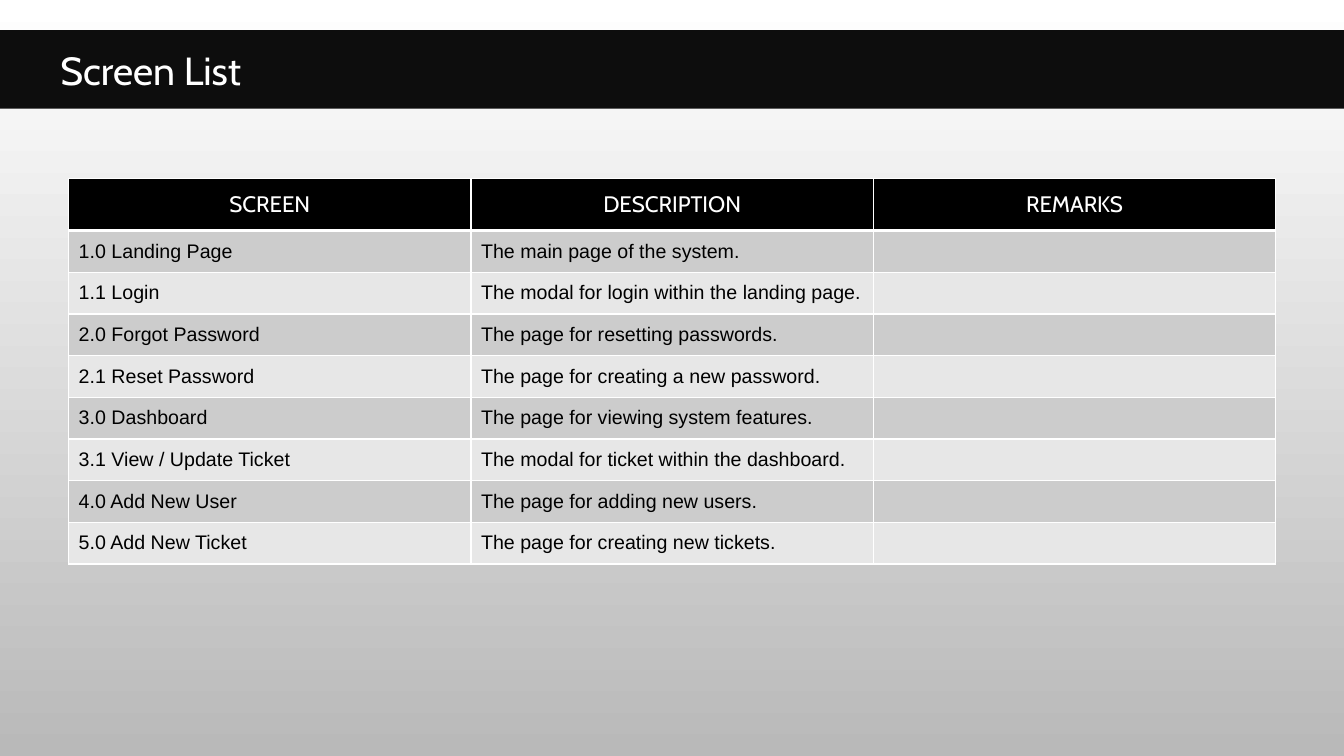
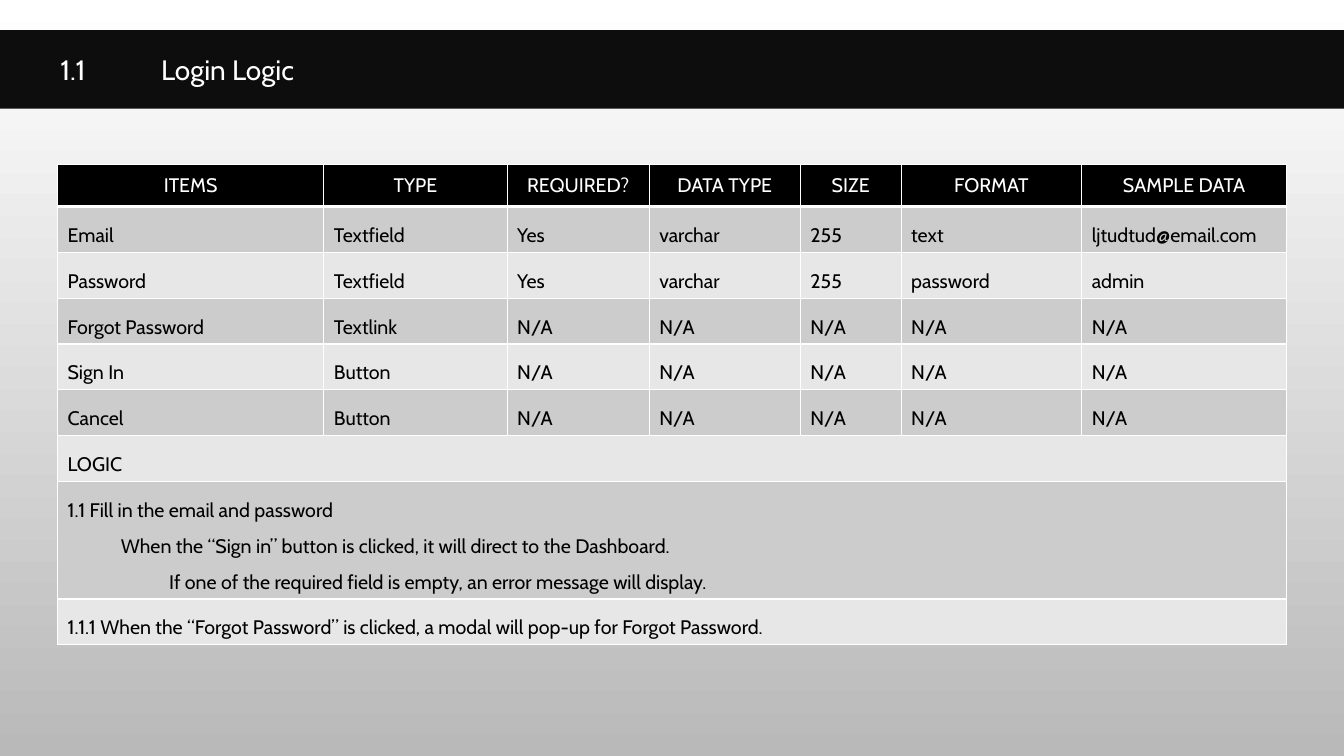
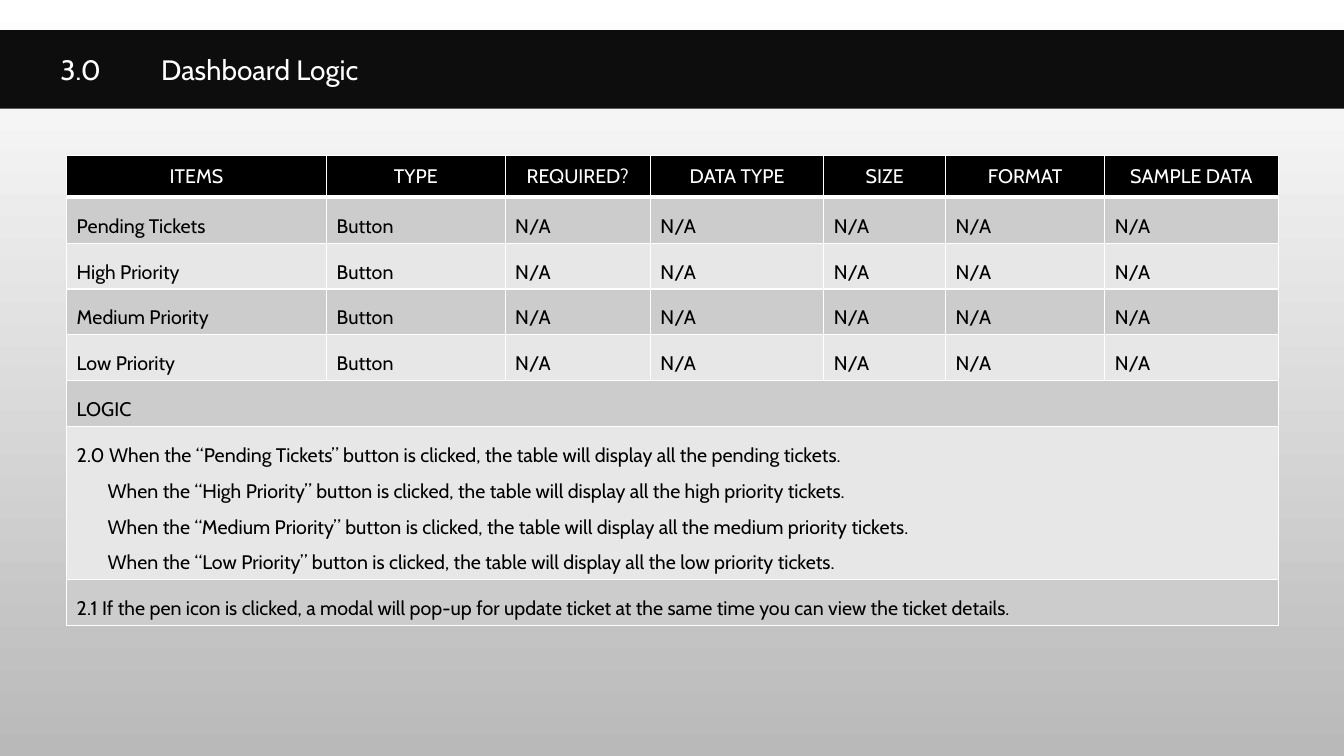
import pptx
import pptx.dml.color
import pptx.enum.text
import pptx.oxml
import pptx.oxml.ns
import pptx.util

Cm, Pt = pptx.util.Cm, pptx.util.Pt
ALIGN, ANCHOR = pptx.enum.text.PP_ALIGN, pptx.enum.text.MSO_ANCHOR
FIT = pptx.enum.text.MSO_AUTO_SIZE

WHITE, BLACK, BAND, GREY = "FFFFFF", "000000", "0D0D0D", "B9B9B9"
STRIPES = "CCCCCC", "E7E7E7"
WIDE = 33.87
LINE, PAD = 0.9, 0.25  # one text line and the cell padding, in cm

NA = ["N/A"] * 5
HEADS = ["ITEMS", "TYPE", "REQUIRED?", "DATA TYPE", "SIZE", "FORMAT",
         "SAMPLE DATA"]

# A note is a list of (text, indent in cm) lines; it fills a whole row.
SLIDES = [
    {
        "title": "Screen List", "size": 28,
        "at": (1.73, 4.5), "cols": [10.14] * 3,
        "heads": ["SCREEN", "DESCRIPTION", "REMARKS"],
        "head": {"size": 16, "high": 1.31},
        "body": {"font": "Arial", "space": 1, "high": 1.05},
        "rows": [
            ["1.0 Landing Page", "The main page of the system.", ""],
            ["1.1 Login", "The modal for login within the landing page.", ""],
            ["2.0 Forgot Password", "The page for resetting passwords.", ""],
            ["2.1 Reset Password", "The page for creating a new password.", ""],
            ["3.0 Dashboard", "The page for viewing system features.", ""],
            ["3.1 View / Update Ticket",
             "The modal for ticket within the dashboard.", ""],
            ["4.0 Add New User", "The page for adding new users.", ""],
            ["5.0 Add New Ticket", "The page for creating new tickets.", ""],
        ],
        "notes": [],
    },
    {
        "title": "1.1\tLogin Logic", "size": 20,
        "at": (1.45, 4.14),
        "cols": [6.71, 4.62, 3.58, 3.81, 2.54, 4.55, 5.16],
        "heads": HEADS,
        "head": {"size": 14, "high": 1.06},
        "body": {"font": "Cabin", "space": 1.5, "high": LINE + PAD},
        "rows": [
            ["Email", "Textfield", "Yes", "varchar", "255", "text",
             "ljtudtud@email.com"],
            ["Password", "Textfield", "Yes", "varchar", "255", "password",
             "admin"],
            ["Forgot Password", "Textlink", *NA],
            ["Sign In", "Button", *NA],
            ["Cancel", "Button", *NA],
        ],
        "notes": [
            [("LOGIC", 0)],
            [("1.1 Fill in the email and password", 0),
             ("When the “Sign in” button is clicked, it will direct to the "
              "Dashboard.", 1.34),
             ("If one of the required field is empty, an error message will "
              "display.", 2.56)],
            [("1.1.1 When the “Forgot Password” is clicked, a modal will "
              "pop-up for Forgot Password.", 0)],
        ],
    },
    {
        "title": "3.0\tDashboard Logic", "size": 20,
        "at": (1.68, 3.91),
        "cols": [6.55, 4.5, 3.66, 4.37, 3.07, 4.01, 4.37],
        "heads": HEADS,
        "head": {"size": 14, "high": 1.06},
        "body": {"font": "Cabin", "space": 1.5, "high": LINE + PAD},
        "rows": [[name, "Button", *NA] for name in (
            "Pending Tickets", "High Priority", "Medium Priority",
            "Low Priority")],
        "notes": [
            [("LOGIC", 0)],
            [("2.0 When the “Pending Tickets” button is clicked, the table "
              "will display all the pending tickets.", 0),
             ("When the “High Priority” button is clicked, the table will "
              "display all the high priority tickets.", 0.78),
             ("When the “Medium Priority” button is clicked, the table will "
              "display all the medium priority tickets.", 0.78),
             ("When the “Low Priority” button is clicked, the table will "
              "display all the low priority tickets.", 0.78)],
            [("2.1 If the pen icon is clicked, a modal will pop-up for update "
              "ticket at the same time you can view the ticket details.", 0)],
        ],
    },
]


def rgb(code):
    return pptx.dml.color.RGBColor.from_string(code)


def paint(fill, code):
    fill.solid()
    fill.fore_color.rgb = rgb(code)


def put(item, **values):
    for name, value in values.items():
        setattr(item, name, value)


def write(para, text, size, font, color):
    run = para.add_run()
    run.text = text
    put(run.font, size=Pt(size), name=font, bold=False)
    run.font.color.rgb = rgb(color)


def edge(cell, top, bottom):
    """Draw white borders; top and bottom are widths in points."""
    space = pptx.oxml.ns.nsdecls("a")
    for side, width in zip("LRTB", (1, 1, top, bottom)):
        cell._tc.get_or_add_tcPr().append(pptx.oxml.parse_xml(
            f'<a:ln{side} {space} w="{Pt(width)}"><a:solidFill>'
            f'<a:srgbClr val="{WHITE}"/></a:solidFill></a:ln{side}>'))


def backdrop(master):
    fill = master.background.fill
    fill.gradient()
    fill.gradient_angle = 270
    for stop, code, place in zip(fill.gradient_stops, (WHITE, GREY), (0, 1)):
        stop.color.rgb = rgb(code)
        stop.position = place


def add_title(slide, text, size):
    title = slide.shapes.title
    put(title, left=0, top=Cm(0.76), width=Cm(WIDE), height=Cm(1.98))
    paint(title.fill, BAND)
    frame = title.text_frame
    put(frame, margin_left=Cm(1.52), vertical_anchor=ANCHOR.MIDDLE,
        auto_size=FIT.NONE, word_wrap=True)
    para = frame.paragraphs[0]
    para.alignment = ALIGN.LEFT
    if "\t" in text:
        para._p.get_or_add_pPr().append(pptx.oxml.parse_xml(
            f'<a:tabLst {pptx.oxml.ns.nsdecls("a")}>'
            f'<a:tab pos="{Cm(2.54)}" algn="l"/></a:tabLst>'))
    write(para, text, size, "Cabin", WHITE)


def fill_cell(cell, lines, align, space, size, font, color):
    frame = cell.text_frame
    for i, (text, indent) in enumerate(lines):
        para = frame.add_paragraph() if i else frame.paragraphs[0]
        put(para, alignment=align, line_spacing=space)
        if indent:
            para._p.get_or_add_pPr().set("marL", str(Cm(indent)))
        if text:
            write(para, text, size, font, color)


def add_grid(slide, data):
    cols, head, body = data["cols"], data["head"], data["body"]
    cells = [[[(text, 0)] for text in row]
             for row in [data["heads"]] + data["rows"]]
    cells += [[note] for note in data["notes"]]
    highs = [head["high"]] + [body["high"] + LINE * (len(row[0]) - 1)
                              for row in cells[1:]]
    box = [Cm(v) for v in (*data["at"], sum(cols), sum(highs))]
    grid = slide.shapes.add_table(len(cells), len(cols), *box).table
    for col, wide in zip(grid.columns, cols):
        col.width = Cm(wide)

    for r, (row, high) in enumerate(zip(cells, highs)):
        grid.rows[r].height = Cm(high)
        for c in range(len(cols)):
            cell = grid.cell(r, c)
            cell.vertical_anchor = ANCHOR.MIDDLE
            edge(cell, 3 if r == 1 else 1, 1 if r else 3)
            paint(cell.fill, STRIPES[(r - 1) % 2] if r else BLACK)
        if len(row) == 1:
            grid.cell(r, 0).merge(grid.cell(r, len(cols) - 1))
        if r:
            style = ALIGN.LEFT, body["space"], 14, body["font"], BLACK
        else:
            style = ALIGN.CENTER, 1, head["size"], "Cabin", WHITE
        for c, lines in enumerate(row):
            fill_cell(grid.cell(r, c), lines, *style)


def main():
    deck = pptx.Presentation()
    put(deck, slide_width=Cm(WIDE), slide_height=Cm(19.05))
    backdrop(deck.slide_master)
    for data in SLIDES:
        slide = deck.slides.add_slide(deck.slide_layouts[5])
        add_title(slide, data["title"], data["size"])
        add_grid(slide, data)
    deck.save("out.pptx")


if __name__ == "__main__":
    main()
